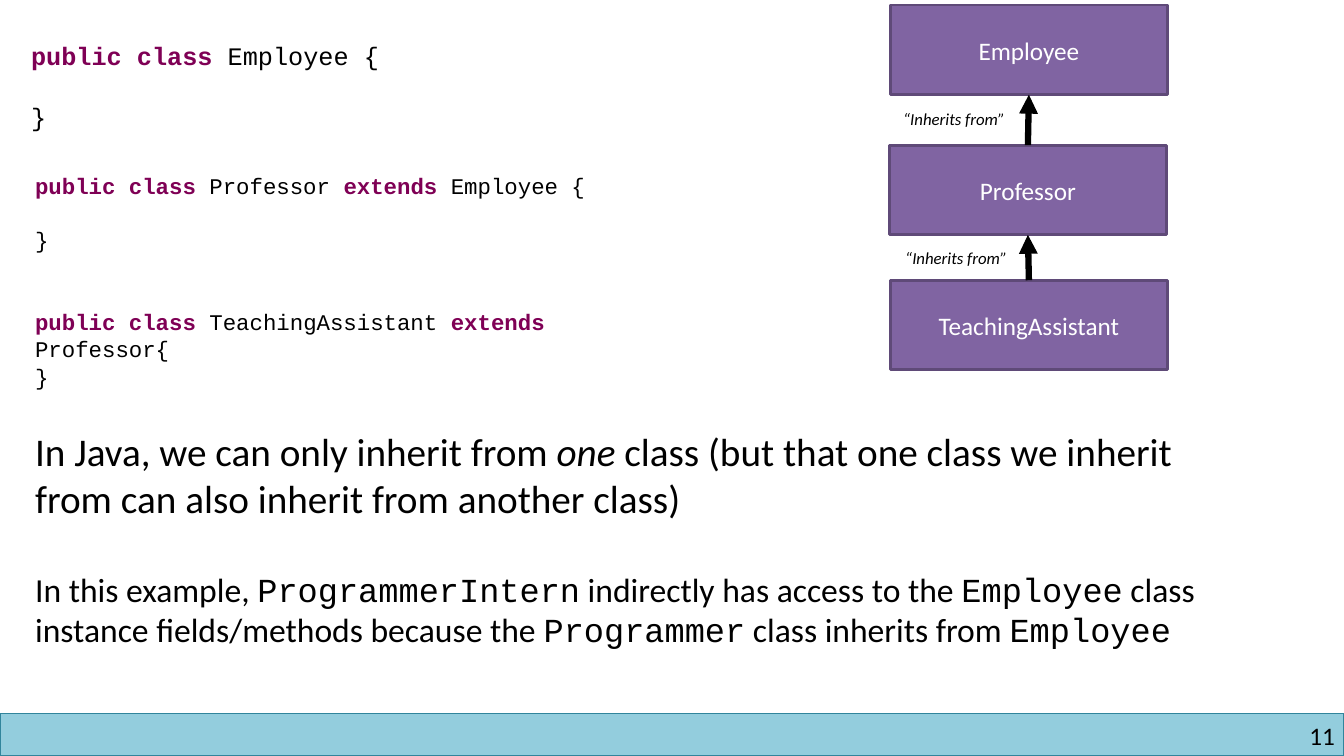
from pptx import Presentation
from pptx.dml.color import RGBColor
from pptx.enum.shapes import MSO_CONNECTOR, MSO_SHAPE
from pptx.enum.text import MSO_ANCHOR, PP_ALIGN
from pptx.oxml.ns import qn
from pptx.util import Inches, Pt
from lxml import etree

RECT = MSO_SHAPE.RECTANGLE
LINE = MSO_CONNECTOR.STRAIGHT
MIDDLE = MSO_ANCHOR.MIDDLE
LEFT, CENTER, RIGHT = PP_ALIGN.LEFT, PP_ALIGN.CENTER, PP_ALIGN.RIGHT

COLORS = {
    "black": "000000",
    "white": "FFFFFF",
    "key": "7F0055",
    "box": "8064A2",
    "edge": "5F4A78",
    "bar": "93CDDD",
    "rim": "31859C",
}
SANS, MONO = "Calibri", "Courier New"
KEY = {"bold": True, "color": "key"}
CODE = {"name": MONO}
ITALIC = {"italic": True}


class Deck:
    def __init__(self):
        self.file = Presentation()
        self.file.slide_width = Inches(13.33)
        self.file.slide_height = Inches(7.5)
        self.slide = self.file.slides.add_slide(self.file.slide_layouts[6])
        self.base = {"name": SANS, "size": Pt(18), "bold": False,
                     "italic": False, "color": "black"}

    def tint(self, name):
        return RGBColor.from_string(COLORS[name])

    def typeset(self, frame, paras, look, align=LEFT):
        frame.word_wrap = True
        for index, (runs, form) in enumerate(paras):
            para = frame.add_paragraph() if index else frame.paragraphs[0]
            para.alignment = align
            for key, value in form.items():
                setattr(para, key, value)
            for words, extra in runs:
                run = para.add_run()
                run.text = words
                style = {**self.base, **look, **extra}
                run.font.color.rgb = self.tint(style.pop("color"))
                for key, value in style.items():
                    setattr(run.font, key, value)

    def text(self, area, paras, look, align=LEFT, inset=True):
        frame = self.slide.shapes.add_textbox(*map(Inches, area)).text_frame
        if not inset:
            for side in ("left", "top", "right", "bottom"):
                setattr(frame, "margin_" + side, 0)
        self.typeset(frame, paras, look, align)

    def rect(self, area, fill, edge, width, label=""):
        shape = self.slide.shapes.add_shape(RECT, *map(Inches, area))
        shape.shadow.inherit = False
        shape.fill.solid()
        shape.fill.fore_color.rgb = self.tint(fill)
        shape.line.color.rgb = self.tint(edge)
        shape.line.width = Pt(width)
        if label:
            shape.text_frame.vertical_anchor = MIDDLE
            self.typeset(shape.text_frame, [([(label, {})], {})],
                         {"color": "white"}, CENTER)
        return shape

    def arrow(self, child, parent):
        link = self.slide.shapes.add_connector(LINE, 0, 0, 0, 0)
        link.begin_connect(child, 0)
        link.end_connect(parent, 2)
        link.line.color.rgb = self.tint("black")
        link.line.width = Pt(4.5)
        props = link._element.spPr
        tail = etree.SubElement(props.find(qn("a:ln")), qn("a:tailEnd"))
        tail.set("type", "triangle")
        etree.SubElement(props, qn("a:effectLst"))


def main():
    deck = Deck()
    deck.rect((0, 7.08, 13.33, 0.42), "bar", "rim", 1)
    deck.text((10.17, 7.15, 3.07, 0.3), [([("11", {})], {})], {},
              RIGHT, inset=False)

    tight = {"line_spacing": Pt(19.5)}
    deck.text((0.25, 1.65, 6.34, 2.59), [
        ([("public class", KEY), (" Professor ", {}),
          ("extends ", KEY), ("Employee {", {})], tight),
        ([("}", {})], {**tight, "space_before": Pt(19.5)}),
        ([("public class ", KEY), ("TeachingAssistant ", {}),
          ("extends", KEY), (" Professor{", {})],
         {**tight, "space_before": Pt(39)}),
        ([("}", {})], tight),
    ], {**CODE, "size": Pt(16)})

    loose = {"line_spacing": Pt(22)}
    deck.text((0.21, 0.34, 6.38, 1.01), [
        ([("public class", KEY), (" Employee {", {})], loose),
        ([("}", {})], {**loose, "space_before": Pt(22)}),
    ], CODE)

    small = {"size": Pt(24)}
    term = {**CODE, **small}
    deck.text((0.25, 4.19, 12.17, 2.73), [
        ([("In Java, we can only inherit from ", {}), ("one", ITALIC),
          (" class (but that one class we inherit from can also inherit "
           "from another class)", {})], {}),
        ([("In this example, ", small), ("ProgrammerIntern", term),
          (" indirectly has access to the ", small), ("Employee", term),
          (" class instance fields/methods because the ", small),
          ("Programmer", term), (" class inherits from ", small),
          ("Employee", term)], {"space_before": Pt(34)}),
    ], {"size": Pt(28)})

    tree = [("Employee", 8.83, 0.05), ("Professor", 8.82, 1.44),
            ("TeachingAssistant", 8.83, 2.78)]
    boxes = [deck.rect((left, top, 2.75, 0.89), "box", "edge", 2, name)
             for name, left, top in tree]
    for parent, child in zip(boxes, boxes[1:]):
        deck.arrow(child, parent)
    for left, top in ((8.86, 1.03), (8.88, 2.41)):
        deck.text((left, top, 1.25, 0.3), [([("“Inherits from”", ITALIC)], {})],
                  {"size": Pt(12)})

    deck.file.save("out.pptx")


if __name__ == "__main__":
    main()
